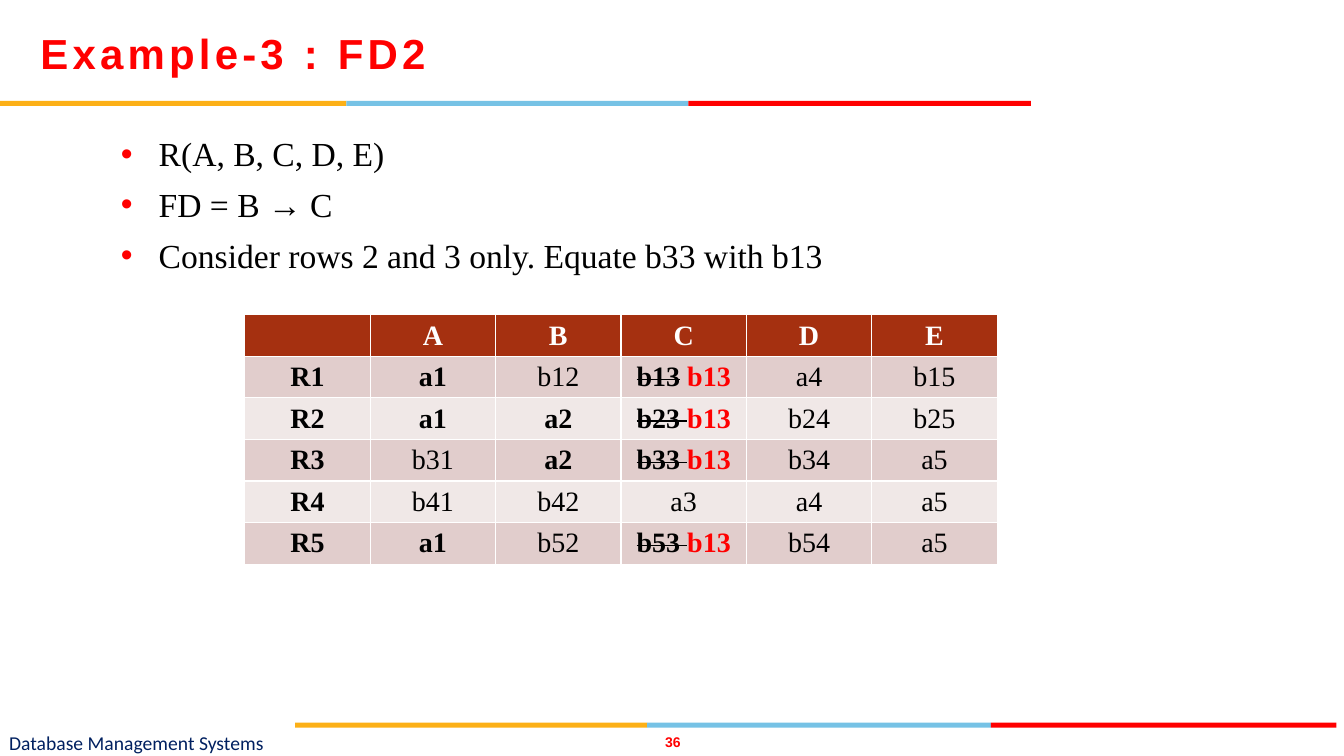
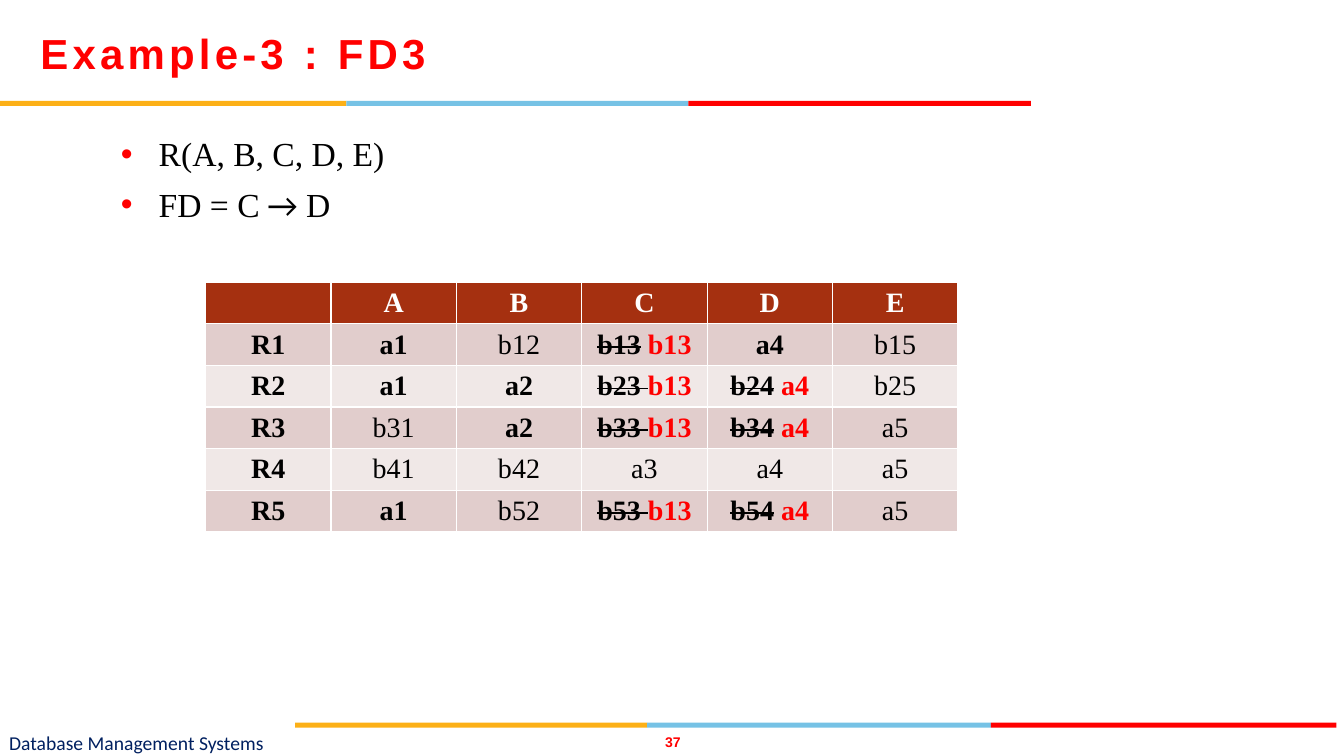
from dataclasses import dataclass
from itertools import pairwise
from typing import Any

from lxml import etree
from pptx import Presentation
from pptx.dml.color import RGBColor
from pptx.enum.shapes import MSO_SHAPE
from pptx.enum.text import MSO_ANCHOR, PP_ALIGN
from pptx.oxml.ns import qn
from pptx.util import Cm, Pt

RECT = MSO_SHAPE.RECTANGLE
MIDDLE = MSO_ANCHOR.MIDDLE
LEFT, CENTER, JUSTIFY = PP_ALIGN.LEFT, PP_ALIGN.CENTER, PP_ALIGN.JUSTIFY
TITLE_ONLY = 5


@dataclass(frozen=True)
class Theme:
    red: str = "FF0000"
    gold: str = "FCB017"
    sky: str = "76C2E5"
    navy: str = "002060"
    black: str = "000000"
    white: str = "FFFFFF"
    header: str = "A53010"
    row_dark: str = "E1CDCC"
    row_light: str = "F0E8E7"
    sans: str = "Arial"
    serif: str = "Times New Roman"
    plain: str = "Calibri"
    title_size: int = 30
    body_size: int = 24
    table_size: int = 20
    footer_size: int = 14
    number_size: int = 10


THEME = Theme()
TITLE_FONT = dict(name=THEME.sans, size=THEME.title_size, color=THEME.red, bold=True)
BODY_FONT = dict(name=THEME.serif, size=THEME.body_size, color=THEME.black)
ARROW_FONT = BODY_FONT | dict(name=THEME.plain)
CELL_FONT = dict(name=THEME.serif, size=THEME.table_size, color=THEME.black, bold=False)
BOLD_FONT = CELL_FONT | dict(bold=True)
HEAD_FONT = BOLD_FONT | dict(color=THEME.white)
NEW_FONT = BOLD_FONT | dict(color=THEME.red)
FOOTER_FONT = dict(name=THEME.plain, size=THEME.footer_size, color=THEME.navy)
NUMBER_FONT = dict(name=THEME.sans, size=THEME.number_size, color=THEME.red, bold=True)


@dataclass(frozen=True)
class Band:
    top: float
    edges: tuple[float, ...]


@dataclass(frozen=True)
class Run:
    text: str
    font: dict[str, Any]


@dataclass(frozen=True)
class Example:
    title: str
    number: int
    bullets: list[list[Run]]
    table_at: tuple[float, float]
    rows: list[str]


BANDS = (
    Band(2.54, (0, 8.73, 17.35, 25.98)),
    Band(18.21, (7.44, 16.31, 24.97, 33.68)),
)
BAND_COLORS = (THEME.gold, THEME.sky, THEME.red)
BAND_HEIGHT = 0.13
COLUMNS = ("", "A", "B", "C", "D", "E")
COL_WIDTH, ROW_HEIGHT = 3.16, 1.04
RELATION = [Run("R(A, B, C, D, E)", BODY_FONT)]

# Cell notation: "*a1" is bold, "old|new" strikes out old and shows new in red.
EXAMPLES = (
    Example(
        "Example-3 : FD2", 36,
        [RELATION,
         [Run("FD = B → C", BODY_FONT)],
         [Run("Consider rows 2 and 3 only. Equate b33 with b13", BODY_FONT)]],
        (6.17, 7.93),
        ["*R1,*a1,b12,b13| b13,a4,b15",
         "*R2,*a1,*a2,b23 |b13,b24,b25",
         "*R3,b31,*a2,b33 |b13,b34,a5",
         "*R4,b41,b42,a3,a4,a5",
         "*R5,*a1,b52,b53 |b13,b54,a5"],
    ),
    Example(
        "Example-3 : FD3", 37,
        [RELATION,
         [Run("FD = C", BODY_FONT), Run(" →", ARROW_FONT), Run(" D", BODY_FONT)]],
        (5.18, 7.11),
        ["*R1,*a1,b12,b13| b13,*a4,b15",
         "*R2,*a1,*a2,b23 |b13,b24| a4,b25",
         "*R3,b31,*a2,b33 |b13,b34| a4,a5",
         "*R4,b41,b42,a3,a4,a5",
         "*R5,*a1,b52,b53 |b13,b54| a4,a5"],
    ),
)


def rgb(color: str) -> RGBColor:
    return RGBColor.from_string(color)


def add_run(p: Any, text: str, font: dict[str, Any]) -> Any:
    r = p.add_run()
    r.text = text
    for name, value in font.items():
        if name == "color":
            r.font.color.rgb = rgb(value)
        else:
            setattr(r.font, name, Pt(value) if name == "size" else value)
    return r


def set_frame(tf: Any, inset: float = 0, anchor: Any = MIDDLE) -> None:
    values = dict(margin_left=0, margin_right=0, margin_top=Cm(inset),
                  margin_bottom=Cm(inset), word_wrap=True, vertical_anchor=anchor)
    for name, value in values.items():
        setattr(tf, name, value)


def add_label(s: Any, box: tuple[float, ...], text: str,
              font: dict[str, Any], align: Any) -> None:
    tf = s.shapes.add_textbox(*map(Cm, box)).text_frame
    set_frame(tf)
    tf.paragraphs[0].alignment = align
    add_run(tf.paragraphs[0], text, font)


def add_bands(s: Any) -> None:
    for band in BANDS:
        for (left, right), color in zip(pairwise(band.edges), BAND_COLORS):
            sp = s.shapes.add_shape(RECT, Cm(left), Cm(band.top),
                                    Cm(right - left), Cm(BAND_HEIGHT))
            sp.shadow.inherit = False
            sp.fill.solid()
            sp.fill.fore_color.rgb = rgb(color)
            sp.line.fill.background()


def set_title(s: Any, text: str) -> None:
    sp = s.shapes.title
    sp.left, sp.top, sp.width, sp.height = map(Cm, (1.02, 0.25, 25.37, 2.16))
    set_frame(sp.text_frame)
    p = sp.text_frame.paragraphs[0]
    p.alignment = LEFT
    r = add_run(p, text, TITLE_FONT)
    r.font._element.set("spc", "300")


def set_bullet(p: Any) -> None:
    """Give the paragraph a red bullet with a hanging indent."""
    pPr = p._p.get_or_add_pPr()
    pPr.set("marL", str(Cm(0.95)))
    pPr.set("indent", str(-Cm(0.95)))
    color = etree.SubElement(pPr, qn("a:buClr"))
    etree.SubElement(color, qn("a:srgbClr"), val=THEME.red)
    etree.SubElement(pPr, qn("a:buFont"), typeface=THEME.sans)
    etree.SubElement(pPr, qn("a:buChar"), char="•")


def add_bullets(s: Any, bullets: list[list[Run]]) -> None:
    tf = s.shapes.add_textbox(Cm(3.05), Cm(3.18), Cm(23.34), Cm(4)).text_frame
    set_frame(tf, 0.13, MSO_ANCHOR.TOP)
    for i, runs in enumerate(bullets):
        p = tf.add_paragraph() if i else tf.paragraphs[0]
        p.alignment = JUSTIFY
        p.line_spacing = 1.05
        p.space_before = Pt(6)
        set_bullet(p)
        for run in runs:
            add_run(p, run.text, run.font)


def fill_cell(cell: Any, text: str, font: dict[str, Any], color: str) -> None:
    cell.fill.solid()
    cell.fill.fore_color.rgb = rgb(color)
    cell.vertical_anchor = MIDDLE
    cell.margin_top = cell.margin_bottom = Cm(0.1)
    p = cell.text_frame.paragraphs[0]
    p.alignment = CENTER
    if "|" in text:
        old, new = text.split("|")
        r = add_run(p, old, BOLD_FONT)
        r.font._element.set("strike", "sngStrike")
        add_run(p, new, NEW_FONT)
    elif text:
        add_run(p, text.removeprefix("*"), BOLD_FONT if text.startswith("*") else font)


def add_relation_table(s: Any, at: tuple[float, float], rows: list[str]) -> None:
    n_rows, n_cols = len(rows) + 1, len(COLUMNS)
    table = s.shapes.add_table(n_rows, n_cols, *map(Cm, at), Cm(COL_WIDTH * n_cols),
                               Cm(ROW_HEIGHT * n_rows)).table
    for column in table.columns:
        column.width = Cm(COL_WIDTH)
    for row in table.rows:
        row.height = Cm(ROW_HEIGHT)
    for j, name in enumerate(COLUMNS):
        fill_cell(table.cell(0, j), name, HEAD_FONT, THEME.header)
    for i, row in enumerate(rows, 1):
        color = THEME.row_dark if i % 2 else THEME.row_light
        for j, text in enumerate(row.split(",")):
            fill_cell(table.cell(i, j), text, CELL_FONT, color)


def add_example(prs: Any, example: Example) -> None:
    s = prs.slides.add_slide(prs.slide_layouts[TITLE_ONLY])
    add_bands(s)
    add_label(s, (0.23, 18.36, 12.6, 0.69), "Database Management Systems",
              FOOTER_FONT, LEFT)
    add_label(s, (16.54, 18.49, 0.84, 0.43), str(example.number), NUMBER_FONT, CENTER)
    set_title(s, example.title)
    add_bullets(s, example.bullets)
    add_relation_table(s, example.table_at, example.rows)


def main() -> None:
    prs = Presentation()
    prs.slide_width, prs.slide_height = Cm(33.87), Cm(19.05)
    for example in EXAMPLES:
        add_example(prs, example)
    prs.save("out.pptx")


if __name__ == "__main__":
    main()
